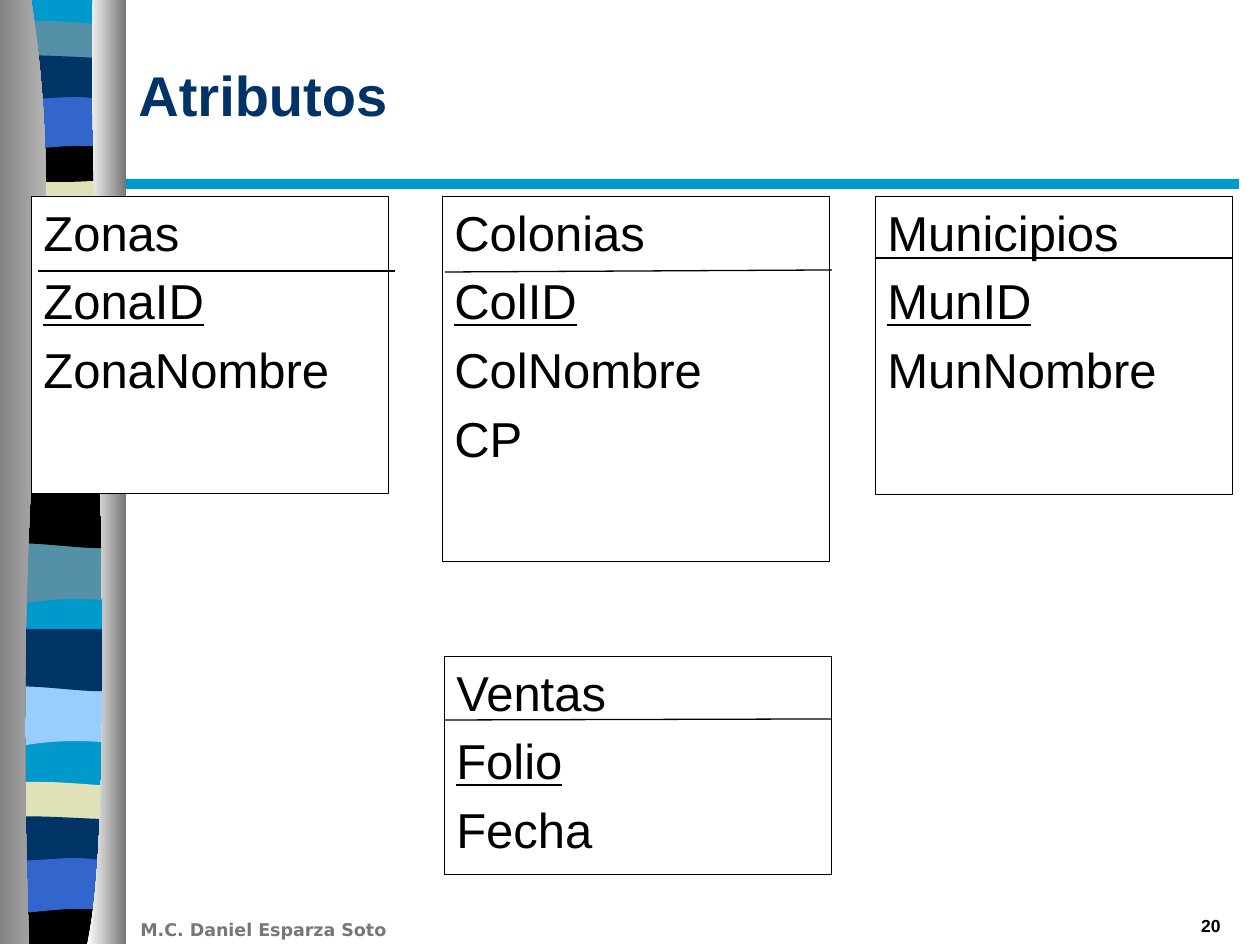
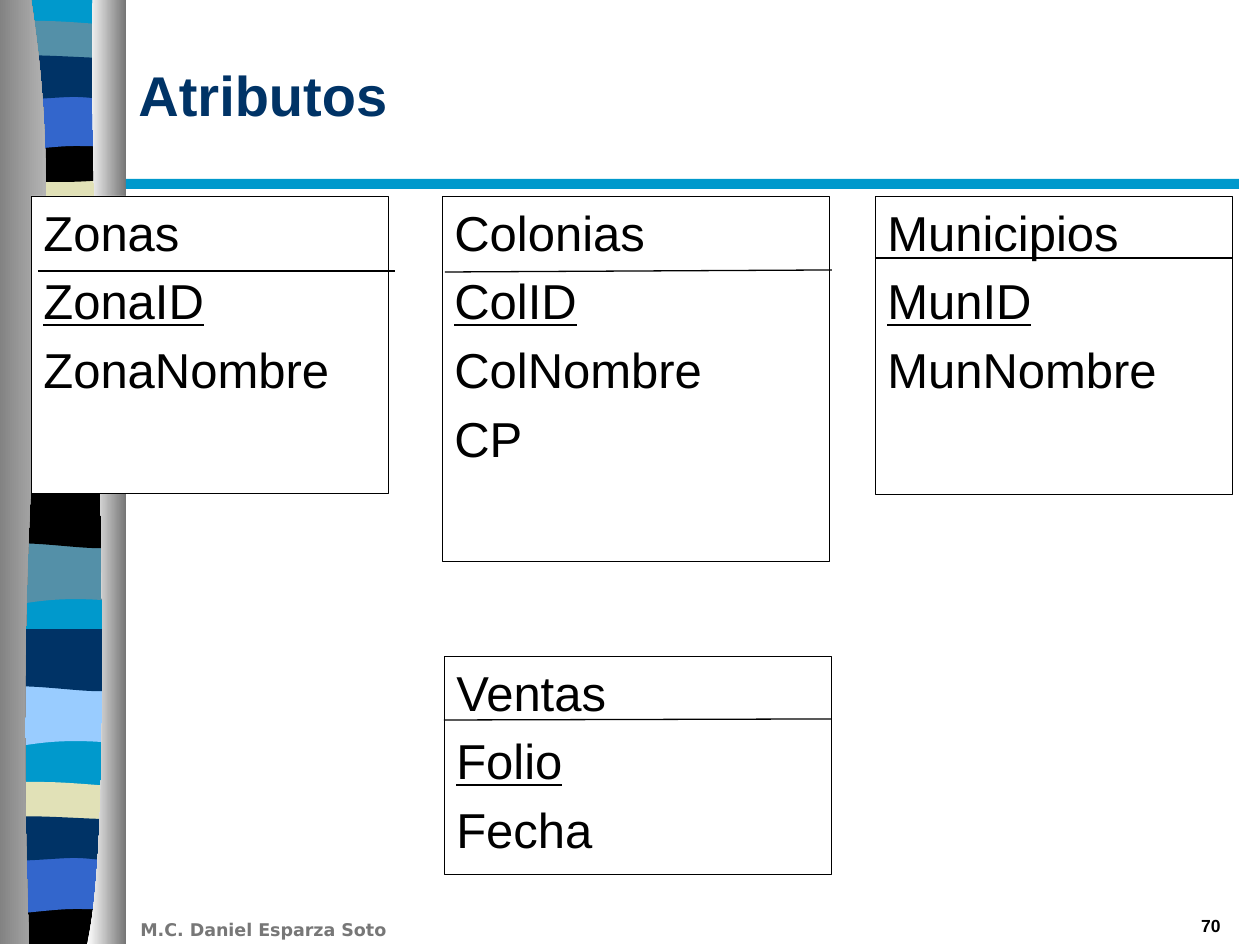
"""Builds two slides of entity boxes with their attributes beside a striped ribbon."""
from lxml import etree
from pptx import Presentation, util as u
from pptx.dml.color import RGBColor
from pptx.enum import shapes, text
from pptx.oxml.ns import qn

PX = 914400 // 126
SLIDE_SIZE = (1260, 945)
COLORS = {
    "navy": "003366", "teal": "0099CC", "slate": "5490A8", "sand": "E1E1B7",
    "blue": "3366CC", "sky": "99CCFF", "black": "000000", "white": "FFFFFF",
    "gray": "777777", "shade": "767676", "light": "D2D2D2",
}
TITLE = "Atributos"
AUTHOR = "M.C. Daniel Esparza Soto"
PAGE_NUMBERS = ["20", "70"]

ENTITIES = [
    {"box": (31, 196, 357, 297), "fill": "white", "rule": (38, 271, 395, 271),
     "rows": ["Zonas", "ZonaID", "ZonaNombre"]},
    {"box": (442, 196, 387, 365), "fill": None, "rule": (445, 272, 832, 270),
     "rows": ["Colonias", "ColID", "ColNombre", "CP"]},
    {"box": (875, 196, 357, 298), "fill": "white", "rule": (875, 258, 1232, 258),
     "rows": ["Municipios", "MunID", "MunNombre"]},
    {"box": (444, 656, 387, 218), "fill": None, "rule": (444, 720, 831, 719),
     "rows": ["Ventas", "Folio", "Fecha"]},
]

LEFT, RIGHT = -6, 123
WAVES = {
    "dip": [(RIGHT, 0), (RIGHT, 0, RIGHT, 59, RIGHT, 59),
            (34, 49, 16, 69, LEFT, 59), (LEFT, 0)],
    "swell": [(RIGHT, 0), (RIGHT, 59), (102, 69, 34, 52, LEFT, 59), (LEFT, 0)],
    "arch": [(RIGHT, 6), (RIGHT, 37), (102, 43, 16, 43, LEFT, 37), (LEFT, 6),
             (3, 0, 23, 1, 44, 1), (66, 1, 107, 5, RIGHT, 6)],
    "bowl": [(RIGHT, 0), (RIGHT, 40), (102, 48, 16, 48, LEFT, 40), (LEFT, 0),
             (74, 6, 97, 0, RIGHT, 0)],
    "bump": [(RIGHT, 0), (RIGHT, 0, RIGHT, 59, RIGHT, 59), (103, 53, 96, 53, 74, 53),
             (53, 53, 14, 59, LEFT, 59), (LEFT, 0)],
    "ripple": [(RIGHT, 6), (RIGHT, 45), (116, 51, 96, 45, 74, 45),
               (53, 45, 8, 51, LEFT, 45), (LEFT, 6),
               (12, 0, 82, 6, 103, 6), (125, 6, 120, 6, RIGHT, 6)],
    "base": [(RIGHT, 0), (RIGHT, 47), (LEFT, 47), (LEFT, 0), (74, 6, 97, 0, RIGHT, 0)],
    "back": [(RIGHT, 0), (RIGHT, 941), (LEFT, 941), (LEFT, 0)],
}
RIBBON = [
    ("back", 0, "teal"),
    ("dip", 233, "slate"), ("swell", 178, "sand"), ("arch", 20, "slate"),
    ("bowl", 136, "black"), ("bump", 93, "blue"), ("ripple", 52, "navy"),
    ("dip", 543, "slate"), ("swell", 486, "black"), ("arch", 330, "navy"),
    ("bowl", 445, "sand"), ("bump", 403, "blue"), ("ripple", 360, "sky"),
    ("dip", 685, "sky"), ("swell", 629, "navy"), ("arch", 781, "sand"),
    ("base", 897, "black"), ("bump", 856, "blue"), ("ripple", 813, "navy"),
]
PILLARS = [
    ([(31, -1), (73, 272, 9, 373, 29, 944), (-11, 944), (-12, -1)], ("shade", "light")),
    ([(93, -1), (87, 157, 121, 814, 87, 944), (126, 944), (126, 0)], ("white", "shade")),
]


def rgb(name):
    return RGBColor.from_string(COLORS[name])


def emu(lengths):
    return [round(length * PX) for length in lengths]


def add_outline(group, segments, top=0):
    points = [emu((segment[i], segment[i + 1] + top))
              for segment in segments for i in range(0, len(segment), 2)]
    builder = group.shapes.build_freeform(*points[0])
    builder.add_line_segments(points[1:], close=True)
    outline = builder.convert_to_shape()
    outline.shadow.inherit = False
    outline.line.fill.background()

    steps = iter(list(outline._element.iter(qn("a:lnTo"))))
    for segment in segments[1:]:
        first = next(steps)
        if len(segment) == 6:
            first.tag = qn("a:cubicBezTo")
            for control in (next(steps), next(steps)):
                first.append(control[0])
                control.getparent().remove(control)
    return outline


def add_rectangle(holder, place, fill):
    box = holder.shapes.add_shape(shapes.MSO_SHAPE.RECTANGLE, *emu(place))
    box.shadow.inherit = False
    if fill:
        box.fill.solid()
        box.fill.fore_color.rgb = rgb(fill)
    else:
        box.fill.background()
    box.line.fill.background()
    return box


def style(para, size, color, bold=False, face="Arial", align=text.PP_ALIGN.LEFT):
    para.alignment = align
    for span in para.runs:
        span.font.size = u.Pt(size)
        span.font.name = face
        span.font.bold = bold
        span.font.color.rgb = rgb(color)


def add_label(page, place, words, anchor=text.MSO_ANCHOR.TOP, **look):
    box = page.shapes.add_textbox(*emu(place))
    frame = box.text_frame
    frame.word_wrap = True
    frame.vertical_anchor = anchor
    frame.text = words
    style(frame.paragraphs[0], bold=True, **look)


def add_ribbon(page):
    group = page.shapes.add_group_shape()
    for wave, top, color in RIBBON:
        band = add_outline(group, WAVES[wave], top)
        band.fill.solid()
        band.fill.fore_color.rgb = rgb(color)
    for segments, shades in PILLARS:
        pillar = add_outline(group, segments)
        pillar.fill.gradient()
        pillar.fill.gradient_angle = 0
        for stop, shade in zip(pillar.fill.gradient_stops, shades):
            stop.color.rgb = rgb(shade)


def add_frame(page, number):
    add_ribbon(page)
    add_rectangle(page, (126, 179, 1113, 10), "teal")
    add_label(page, (128, 913, 357, 34), AUTHOR, size=10, color="gray", face="DejaVu Sans")
    add_label(page, (126, 15, 1106, 158), TITLE, text.MSO_ANCHOR.MIDDLE,
              size=32, color="navy")
    add_label(page, (971, 909, 262, 33), number, size=10, color="black",
              align=text.PP_ALIGN.RIGHT)


def add_entity(page, entity):
    group = page.shapes.add_group_shape()
    box = add_rectangle(group, entity["box"], entity["fill"])
    box.line.color.rgb = rgb("black")
    box.line.width = u.Pt(0.25)
    frame = box.text_frame
    frame.word_wrap = True
    frame.vertical_anchor = text.MSO_ANCHOR.TOP
    frame.text = "\n".join(entity["rows"])
    for index, para in enumerate(frame.paragraphs):
        style(para, 28, "black")
        if index:
            para.space_before = u.Pt(5.6)
    frame.paragraphs[1].runs[0].font.underline = True

    rule = group.shapes.add_connector(shapes.MSO_CONNECTOR.STRAIGHT, *emu(entity["rule"]))
    rule.line.color.rgb = rgb("black")
    rule.line.width = u.Pt(0.75)
    etree.SubElement(rule._element.spPr, qn("a:effectLst"))


def main():
    deck = Presentation()
    deck.slide_width, deck.slide_height = emu(SLIDE_SIZE)
    for number in PAGE_NUMBERS:
        page = deck.slides.add_slide(deck.slide_layouts[6])
        add_frame(page, number)
        for entity in ENTITIES:
            add_entity(page, entity)
    deck.save("out.pptx")


if __name__ == "__main__":
    main()
